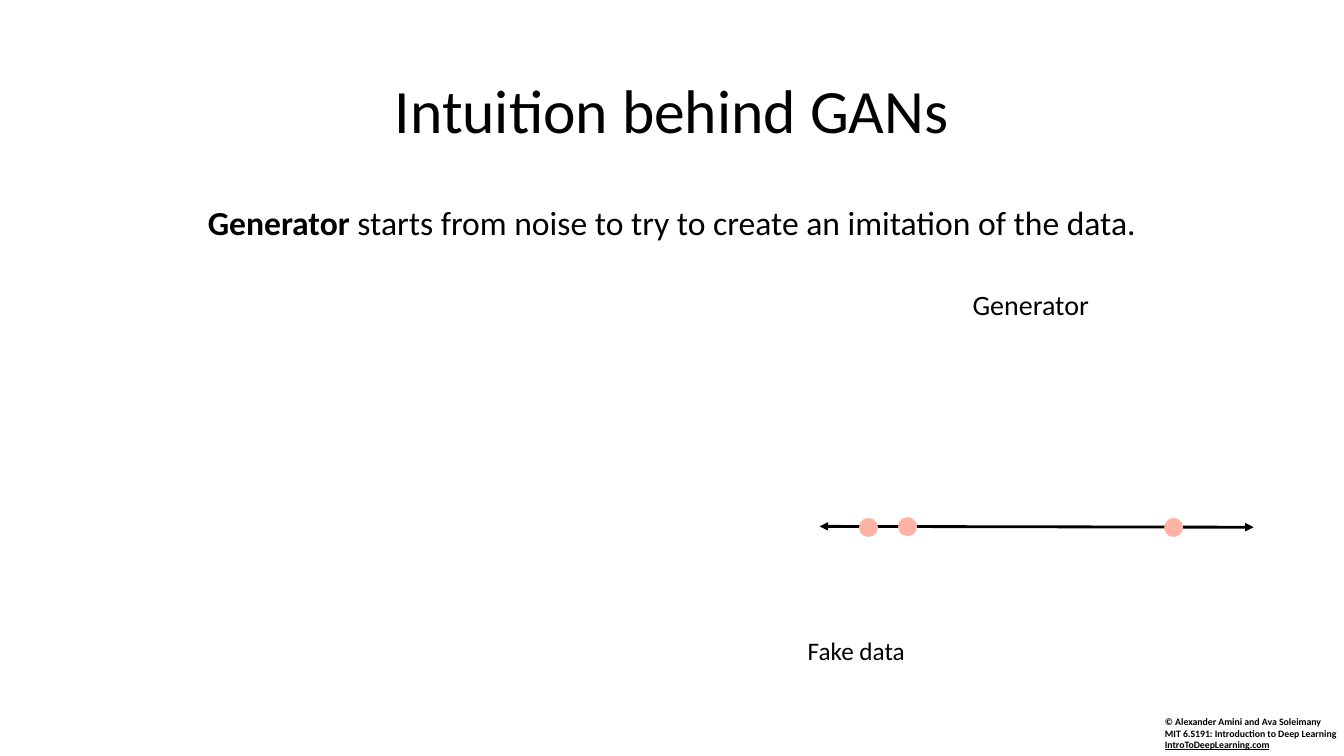
"""Build the slide on the intuition behind GANs."""
from lxml import etree
from pptx import Presentation, util as u
from pptx.dml.color import RGBColor
from pptx.enum import shapes, text
from pptx.oxml import ns

BLACK = RGBColor(0x00, 0x00, 0x00)
SALMON = RGBColor(0xFF, 0xB3, 0xA4)
DOT_SIZE = 13.6


def points(*lengths):
    return [u.Pt(length) for length in lengths]


def set_all(target, values):
    for name, value in values.items():
        setattr(target, name, value)


def write(frame, runs, size, align=text.PP_ALIGN.CENTER, spacing=1.0,
          anchor=text.MSO_ANCHOR.TOP, wrap=True):
    set_all(frame, {"word_wrap": wrap, "auto_size": text.MSO_AUTO_SIZE.NONE,
                    "vertical_anchor": anchor})
    paragraph = frame.paragraphs[0]
    set_all(paragraph, {"alignment": align, "line_spacing": spacing,
                        "space_before": u.Pt(0)})
    for wording, style in runs:
        for index, line in enumerate(wording.split("\n")):
            if index:
                paragraph.add_line_break()
            if line:
                run = paragraph.add_run()
                run.text = line
                set_all(run.font, {"name": "Calibri", "size": u.Pt(size), **style})
                run.font.color.rgb = BLACK
    return paragraph


def fill_placeholder(placeholder, box, runs, size, anchor):
    set_all(placeholder, dict(zip(("left", "top", "width", "height"), points(*box))))
    return write(placeholder.text_frame, runs, size, spacing=0.9, anchor=anchor)


def remove_bullet(paragraph):
    properties = paragraph._p.get_or_add_pPr()
    set_margins = {"marL": "0", "indent": "0"}
    for name, value in set_margins.items():
        properties.set(name, value)
    etree.SubElement(properties, ns.qn("a:buNone"))


def add_label(slide, box, runs, size, **layout):
    label = slide.shapes.add_textbox(*points(*box))
    write(label.text_frame, runs, size, **layout)


def add_axis(slide, start, end):
    axis = slide.shapes.add_connector(shapes.MSO_CONNECTOR.STRAIGHT,
                                      *points(*start, *end))
    axis.line.color.rgb = BLACK
    axis.line.width = u.Pt(2)
    outline = axis.line._get_or_add_ln()
    for tip in ("a:headEnd", "a:tailEnd"):
        etree.SubElement(outline, ns.qn(tip), type="triangle")
    etree.SubElement(axis._element.spPr, ns.qn("a:effectLst"))


def add_sample(slide, left, top):
    sample = slide.shapes.add_shape(shapes.MSO_SHAPE.OVAL,
                                    *points(left, top, DOT_SIZE, DOT_SIZE))
    sample.shadow.inherit = False
    sample.fill.solid()
    sample.fill.fore_color.rgb = SALMON
    sample.line.fill.background()


def main():
    deck = Presentation()
    deck.slide_width, deck.slide_height = points(960, 540)
    slide = deck.slides.add_slide(deck.slide_layouts[1])
    title, body = slide.placeholders

    add_label(slide, (825, 507.6, 142.6, 32.4),
              [("© Alexander Amini and Ava Soleimany\n"
                "MIT 6.S191: Introduction to Deep Learning\n", {"bold": True}),
               ("IntroToDeepLearning.com", {"bold": True, "underline": True})],
              7, align=text.PP_ALIGN.LEFT, wrap=False)
    fill_placeholder(title, (66, 28.75, 828, 104.4),
                     [("Intuition behind GANs", {})], 44, text.MSO_ANCHOR.MIDDLE)
    claim = fill_placeholder(
        body, (66, 143.75, 828, 342.6),
        [("Generator ", {"bold": True}),
         ("starts from noise to try to create an imitation of the data.",
          {"bold": False})], 24, text.MSO_ANCHOR.TOP)
    remove_bullet(claim)

    add_label(slide, (563, 450, 97.2, 29), [("Fake data", {})], 18)
    add_label(slide, (633, 201.6, 206.6, 31.5), [("Generator", {})], 20)
    add_axis(slide, (585.5, 376), (895.5, 376.6))
    for left, top in ((641.5, 369.4), (831.6, 370), (613.6, 370)):
        add_sample(slide, left, top)
    deck.save("out.pptx")


if __name__ == "__main__":
    main()
